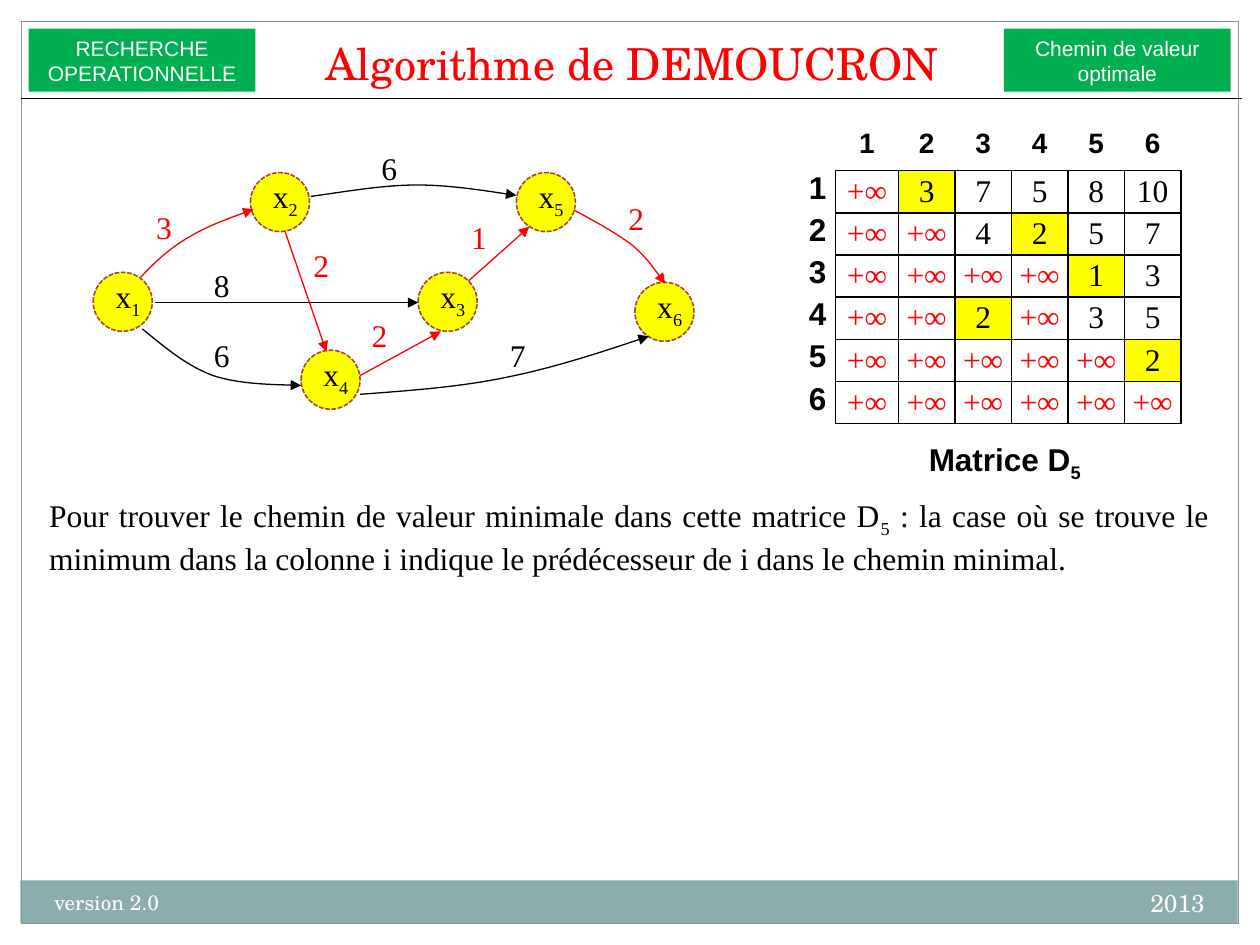
from typing import NamedTuple

from lxml.etree import SubElement
from pptx import Presentation
from pptx.dml.color import RGBColor
from pptx.enum.dml import MSO_LINE_DASH_STYLE as Dash
from pptx.enum.shapes import MSO_CONNECTOR as Connector, MSO_SHAPE as Shape
from pptx.enum.text import MSO_ANCHOR as Anchor, PP_ALIGN as Align
from pptx.oxml.ns import qn
from pptx.util import Cm, Pt

BLACK = RGBColor(0, 0, 0)
WHITE = RGBColor(255, 255, 255)
RED = RGBColor(255, 0, 0)
YELLOW = RGBColor(255, 255, 0)
GREEN = RGBColor(0x00, 0xB0, 0x50)
TEAL = RGBColor(0x8C, 0xAD, 0xAE)
FRAME = RGBColor(0x7C, 0x99, 0x9A)
BROWN = RGBColor(0x9B, 0x49, 0x36)
SERIF, SANS, SCHOOL = "Times New Roman", "Arial", "TeX Gyre Schola"
PLAIN_TABLE = "{2D5ABB26-0587-4C30-8999-92F81FD0307C}"
NODE_SIZE = 1.19


class Node(NamedTuple):
    number: int
    left: float
    top: float


class Edge(NamedTuple):
    """Two points make a straight arrow; seven make two Bézier curves."""
    value: str
    label: tuple
    color: RGBColor
    points: list


NODES = [
    Node(1, 1.88, 5.49), Node(2, 5.05, 3.48), Node(3, 8.43, 5.49),
    Node(4, 6.07, 7.06), Node(5, 10.41, 3.48), Node(6, 12.8, 5.69),
]

EDGES = [
    Edge("3", (2.9, 4.06), RED, [(2.84, 5.59), (3.12, 5.28), (3.43, 5), (3.81, 4.78),
                                 (4.19, 4.55), (5.11, 4.22), (5.11, 4.22)]),
    Edge("8", (4.06, 5.23), BLACK, [(3.12, 6.1), (8.43, 6.1)]),
    Edge("6", (4.06, 6.65), BLACK, [(2.87, 6.63), (3.33, 7.01), (3.76, 7.37), (4.29, 7.57),
                                    (4.83, 7.75), (6.07, 7.77), (6.07, 7.77)]),
    Edge("2", (6.07, 4.83), RED, [(5.74, 4.65), (6.58, 7.09)]),
    Edge("6", (7.44, 2.87), BLACK, [(6.27, 3.96), (6.99, 3.86), (7.72, 3.73), (8.41, 3.73),
                                    (9.09, 3.73), (10.41, 3.94), (10.41, 3.94)]),
    Edge("1", (9.25, 4.27), RED, [(9.45, 5.66), (10.67, 4.57)]),
    Edge("2", (7.24, 6.25), RED, [(7.26, 7.57), (8.89, 6.68)]),
    Edge("7", (10.03, 6.65), BLACK, [(7.26, 7.95), (8.31, 7.87), (9.32, 7.8), (10.29, 7.59),
                                     (11.28, 7.39), (13.08, 6.78), (13.08, 6.78)]),
    Edge("2", (12.42, 3.89), RED, [(11.58, 4.24), (12.01, 4.47), (12.42, 4.7), (12.73, 4.93),
                                   (13.03, 5.18), (13.41, 5.72), (13.41, 5.72)]),
]

# A star marks the minimum of a column
MATRIX = [row.split() for row in (
    "+∞ 3* 7 5 8 10",
    "+∞ +∞ 4 2* 5 7",
    "+∞ +∞ +∞ +∞ 1* 3",
    "+∞ +∞ 2* +∞ 3 5",
    "+∞ +∞ +∞ +∞ +∞ 2*",
    "+∞ +∞ +∞ +∞ +∞ +∞",
)]


def write(frame, text: str, *, size: float = 18, font: str = SERIF, color: RGBColor = BLACK,
          bold: bool = False, align=Align.LEFT, anchor=Anchor.TOP) -> None:
    """Fill a text frame; parts between underscores are subscripts."""
    frame.word_wrap = True
    frame.vertical_anchor = anchor
    for index, line in enumerate(text.split("\n")):
        para = frame.add_paragraph() if index else frame.paragraphs[0]
        para.alignment = align
        for part, words in enumerate(line.split("_")):
            if not words:
                continue
            span = para.add_run()
            span.text = words
            span.font.size, span.font.name, span.font.bold = Pt(size), font, bold
            span.font.color.rgb = color
            if part % 2:
                span.font._element.set("baseline", "-25000")


def add_text(page, text: str, left: float, top: float, width: float, height: float = 1.02,
             **style) -> None:
    box = page.shapes.add_textbox(Cm(left), Cm(top), Cm(width), Cm(height))
    write(box.text_frame, text, **style)


def add_box(page, kind, left: float, top: float, width: float, height: float, fill=None,
            line=None, weight: float = 0.75):
    box = page.shapes.add_shape(kind, Cm(left), Cm(top), Cm(width), Cm(height))
    box.shadow.inherit = False
    if fill is None:
        box.fill.background()
    else:
        box.fill.solid()
        box.fill.fore_color.rgb = fill
    if line is None:
        box.line.fill.background()
    else:
        box.line.color.rgb = line
        box.line.width = Pt(weight)
    return box


def add_line(page, start: tuple, end: tuple):
    line = page.shapes.add_connector(Connector.STRAIGHT, *map(Cm, start + end))
    SubElement(line._element.spPr, qn("a:effectLst"))
    line.line.color.rgb = BLACK
    line.line.width = Pt(0.75)
    return line


def add_curve(page, points: list):
    builder = page.shapes.build_freeform(*map(Cm, points[0]))
    builder.add_line_segments([(Cm(x), Cm(y)) for x, y in points[1:]], close=False)
    curve = builder.convert_to_shape()
    curve.shadow.inherit = False
    curve.fill.background()
    # Every three segments become one cubic Bézier curve
    outline = next(curve._element.iter(qn("a:path")))
    steps = outline.findall(qn("a:lnTo"))
    for first in range(0, len(steps), 3):
        bezier = SubElement(outline, qn("a:cubicBezTo"))
        for step in steps[first:first + 3]:
            bezier.append(step[0])
            outline.remove(step)
    return curve


def add_edge(page, edge: Edge) -> None:
    straight = len(edge.points) == 2
    arrow = add_line(page, *edge.points) if straight else add_curve(page, edge.points)
    arrow.line.color.rgb = edge.color
    arrow.line.width = Pt(0.75)
    SubElement(arrow.line._get_or_add_ln(), qn("a:tailEnd"), type="triangle")
    add_text(page, edge.value, *edge.label, 1.19, color=edge.color)


def add_node(page, node: Node) -> None:
    circle = add_box(page, Shape.OVAL, node.left, node.top, NODE_SIZE, NODE_SIZE,
                     YELLOW, BROWN, 0.9)
    circle.line.dash_style = Dash.SQUARE_DOT
    add_text(page, f"x_{node.number}", node.left + 0.2, node.top - 0.03, 1.4)


def format_cell(cell, text: str, sides: str, side_margin: float, fill=None, **style) -> None:
    cell.margin_left = cell.margin_right = Cm(side_margin)
    cell.margin_top = cell.margin_bottom = 0
    write(cell.text_frame, text, **{**style, "anchor": Anchor.TOP})
    cell.vertical_anchor = style.get("anchor", Anchor.TOP)
    for side in sides.split():
        border = SubElement(cell._tc.get_or_add_tcPr(), qn(f"a:ln{side}"), w=str(Pt(1)))
        paint = SubElement(border, qn("a:solidFill"))
        SubElement(paint, qn("a:srgbClr"), val=str(BLACK))
    if fill is None:
        cell.fill.background()
    else:
        cell.fill.solid()
        cell.fill.fore_color.rgb = fill


def add_matrix(page) -> None:
    widths = [1.98, 1.27] + [1.14] * 5
    table = page.shapes.add_table(7, 7, Cm(14.86), Cm(2.59), Cm(sum(widths)), Cm(0.85 * 7)).table
    table.first_row = table.horz_banding = False
    table._tbl.tblPr.find(qn("a:tableStyleId")).text = PLAIN_TABLE
    for column, width in zip(table.columns, widths):
        column.width = Cm(width)
    for row in table.rows:
        row.height = Cm(0.85)
    format_cell(table.cell(0, 0), "", "", 0.18)
    for number, values in enumerate(MATRIX, 1):
        format_cell(table.cell(0, number), str(number), "B", 0.18, size=16, font=SANS,
                    bold=True, align=Align.CENTER)
        format_cell(table.cell(number, 0), str(number), "R", 0.18, font=SANS,
                    bold=True, align=Align.RIGHT)
        for column, value in enumerate(values, 1):
            format_cell(table.cell(number, column), value.rstrip("*"), "L R T B", 0,
                        fill=YELLOW if value.endswith("*") else None,
                        color=RED if value == "+∞" else BLACK,
                        align=Align.CENTER, anchor=Anchor.MIDDLE)


def main() -> None:
    deck = Presentation()
    deck.slide_width, deck.slide_height = Cm(25.4), Cm(19.05)
    page = deck.slides.add_slide(deck.slide_layouts[6])

    # Frame and footer
    add_box(page, Shape.RECTANGLE, 0.41, 17.75, 24.54, 0.86, TEAL)
    add_box(page, Shape.RECTANGLE, 0.43, 0.43, 24.54, 18.19, line=FRAME)
    add_text(page, "2013", 16.08, 17.78, 8.46, size=14, font=SCHOOL, color=WHITE,
             align=Align.RIGHT)
    add_text(page, "version 2.0", 0.84, 17.81, 9.96, size=12, font=SCHOOL, color=WHITE)

    # Header
    add_text(page, "Algorithme de DEMOUCRON", 5.16, 0.58, 15.16, 1.35, size=25.2, font=SCHOOL,
             color=RED, align=Align.CENTER, anchor=Anchor.BOTTOM)
    for left, text in ((20.24, "Chemin de valeur\noptimale"), (0.58, "RECHERCHE\nOPERATIONNELLE")):
        tag = add_box(page, Shape.RECTANGLE, left, 0.58, 4.57, 1.27, GREEN)
        write(tag.text_frame, text, size=12, font=SANS, color=WHITE, align=Align.CENTER,
              anchor=Anchor.MIDDLE)
    add_line(page, (0.43, 1.98), (25.04, 1.98))

    # Explanation
    add_text(page, "Pour trouver le chemin de valeur minimale dans cette matrice D_5_ : la case où "
             "se trouve le minimum dans la colonne i indique le prédécesseur de i dans le chemin "
             "minimal.", 0.74, 9.88, 23.88, 1.8, align=Align.JUSTIFY)

    # Graph
    for node in NODES:
        add_node(page, node)
    for edge in EDGES:
        add_edge(page, edge)

    # Matrix
    add_text(page, "Matrice D_5", 16.79, 8.74, 6.93, font=SANS, bold=True, align=Align.CENTER)
    add_matrix(page)

    deck.save("out.pptx")


if __name__ == "__main__":
    main()
